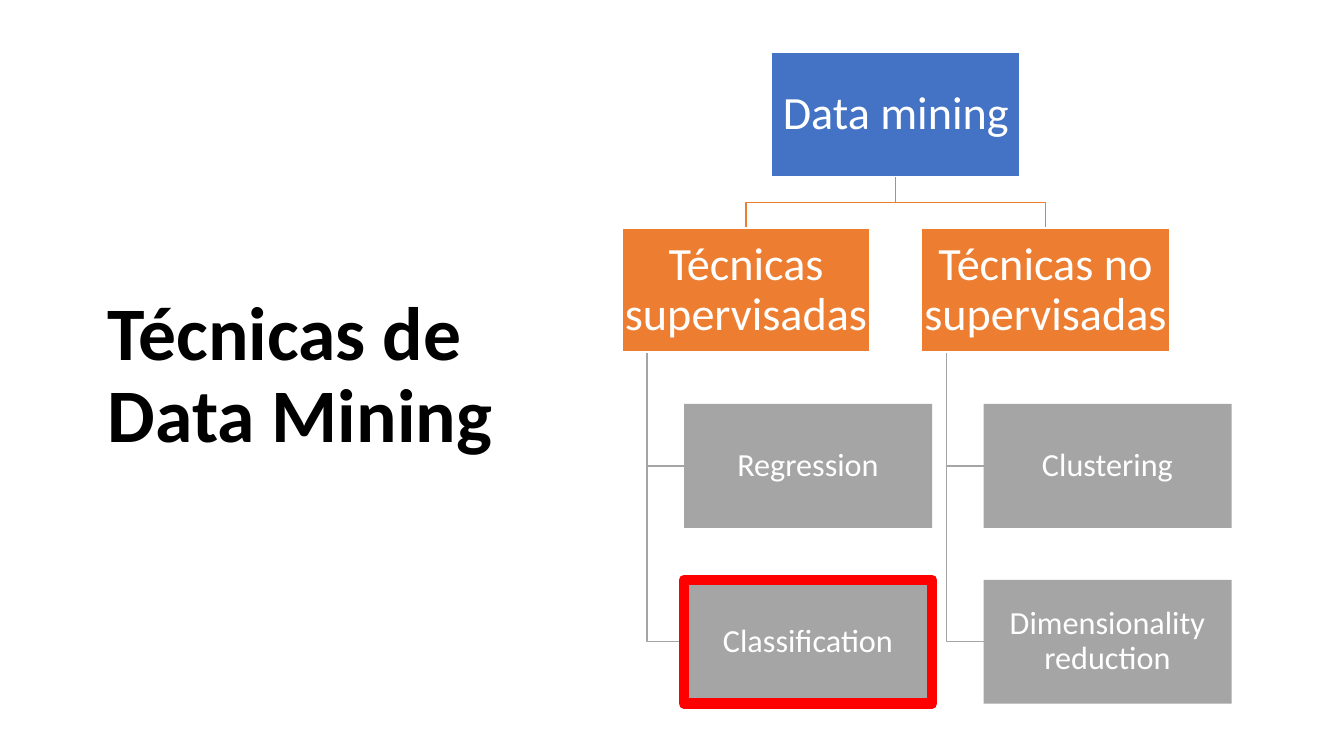
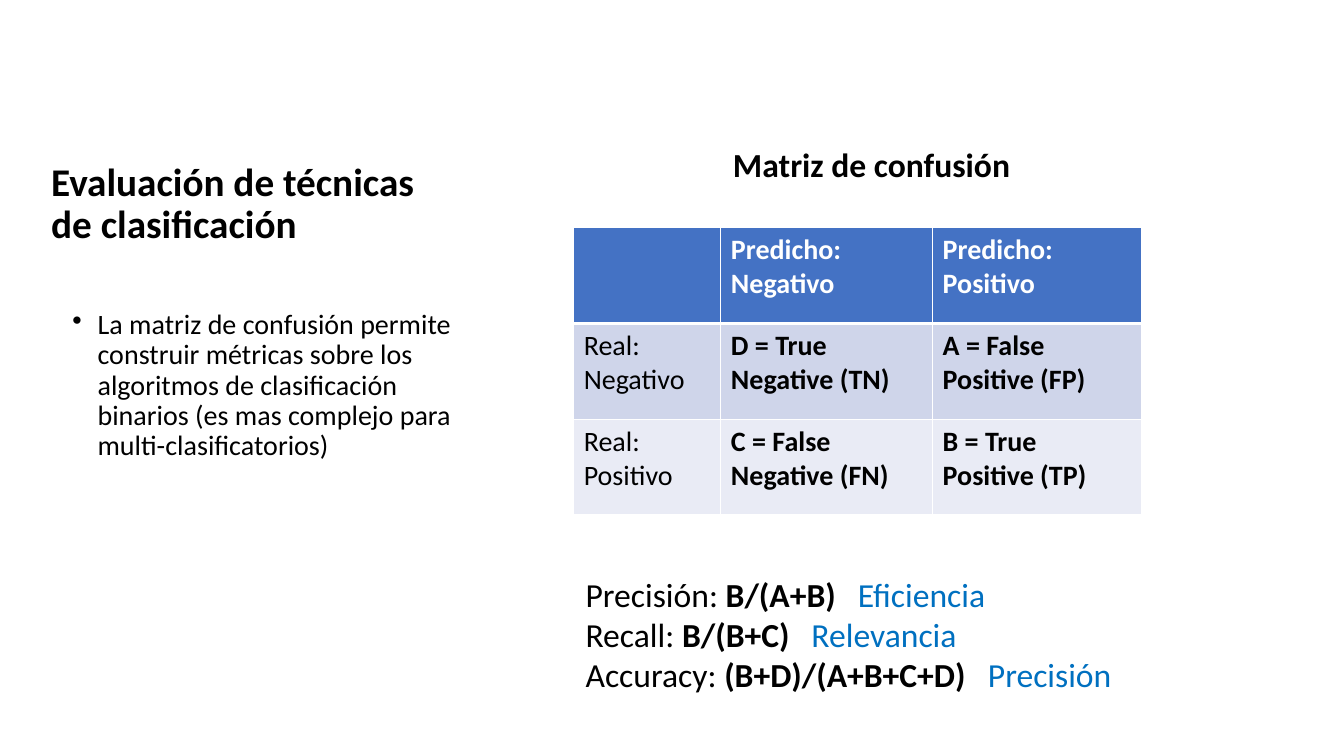
"""Two slides: a tree of data mining techniques and the confusion matrix."""
from lxml.etree import SubElement
from pptx import Presentation
from pptx.dml.color import RGBColor
from pptx.enum.shapes import MSO_SHAPE
from pptx.enum.text import MSO_ANCHOR as ANCHOR, PP_ALIGN as ALIGN
from pptx.oxml.ns import qn
from pptx.util import Inches, Pt

FONT = "Calibri"
BLACK, WHITE, RED, LINK = "000000", "FFFFFF", "FF0000", "0070C0"
BLUE, ORANGE, GRAY = "4472C4", "ED7D31", "A5A5A5"

ROOT = "Data mining"
BRANCHES = [
    ("Técnicas supervisadas", ["Regression", "Classification"]),
    ("Técnicas no supervisadas", ["Clustering", "Dimensionality reduction"]),
]
HIGHLIGHT = "Classification"
TREE_X, TREE_Y, BOX_W, BOX_H = 6.17, 0.52, 2.46, 1.23
COL_STEP, ROW_STEP = 2.97, 1.744
STEM, INDENT = BOX_W / 10, BOX_W / 4

MATRIX = [
    ["", "Predicho:\nNegativo", "Predicho: Positivo"],
    ["Real: Negativo", "D = True Negative (TN)", "A = False Positive (FP)"],
    ["Real: Positivo", "C = False Negative (FN)", "B = True Positive (TP)"],
]
MATRIX_COLS, MATRIX_ROW = [1.46, 2.1, 2.07], 0.95
ROW_FILLS = [BLUE, "CFD5EA", "E9EBF5"]
METRICS = [
    ("Precisión: ", "B/(A+B)", "Eficiencia", 2.7),
    ("Recall: ", "B/(B+C)", "Relevancia", 2.24),
    ("Accuracy: ", "(B+D)/(A+B+C+D)", "Precisión", 3.99),
]
NOTE = ("La matriz de confusión permite construir métricas sobre los algoritmos de "
        "clasificación binarios (es mas complejo para multi-clasificatorios)")


def rgb(color):
    return RGBColor.from_string(color)


def style(p, size, color=BLACK, bold=False, align=None, spacing=None):
    font = p.font
    font.name, font.size, font.bold = FONT, Pt(size), bold
    font.color.rgb = rgb(color)
    p.alignment, p.line_spacing = align, spacing


def text_box(s, at, text, size, anchor=ANCHOR.TOP, **look):
    tf = s.shapes.add_textbox(*map(Inches, at)).text_frame
    tf.word_wrap, tf.vertical_anchor = True, anchor
    tf.text = text
    for p in tf.paragraphs:
        style(p, size, **look)
    return tf


def title(s, at, text, size):
    return text_box(s, at, text, size, ANCHOR.BOTTOM, bold=True, spacing=0.9)


def link(s, points, color):
    points = [(Inches(x), Inches(y)) for x, y in points]
    builder = s.shapes.build_freeform(*points[0], scale=1.0)
    builder.add_line_segments(points[1:], close=False)
    sp = builder.convert_to_shape()
    sp.shadow.inherit = False
    sp.fill.background()
    sp.line.color.rgb, sp.line.width = rgb(color), Pt(1)


def box(s, x, y, text, fill, size, line=None, width=1):
    sp = s.shapes.add_shape(MSO_SHAPE.RECTANGLE, *map(Inches, (x, y, BOX_W, BOX_H)))
    sp.shadow.inherit = False
    sp.fill.solid()
    sp.fill.fore_color.rgb = rgb(fill)
    if line:
        sp.line.color.rgb, sp.line.width = rgb(line), Pt(width)
    else:
        sp.line.fill.background()
    tf = sp.text_frame
    tf.word_wrap, tf.vertical_anchor = True, ANCHOR.MIDDLE
    tf.margin_left = tf.margin_right = tf.margin_top = tf.margin_bottom = Inches(0.02)
    tf.text = text
    style(tf.paragraphs[0], size, WHITE, align=ALIGN.CENTER, spacing=0.9)


def tree(s):
    tops = [TREE_Y + i * ROW_STEP for i in range(4)]
    root_x = TREE_X + COL_STEP / 2
    root_mid, root_bottom = root_x + BOX_W / 2, tops[0] + BOX_H
    bar_y = (root_bottom + tops[1]) / 2
    boxes = [(root_x, tops[0], ROOT, BLUE, 33, WHITE)]
    for col, (branch, leaves) in enumerate(BRANCHES):
        x = TREE_X + col * COL_STEP
        mid, stem, leaf_x = x + BOX_W / 2, x + STEM, x + INDENT
        link(s, [(root_mid, root_bottom), (root_mid, bar_y), (mid, bar_y), (mid, tops[1])], ORANGE)
        boxes.append((x, tops[1], branch, ORANGE, 33, WHITE))
        for leaf, top in zip(leaves, tops[2:]):
            y = top + BOX_H / 2
            link(s, [(stem, tops[1] + BOX_H), (stem, y), (leaf_x, y)], GRAY)
            outline = (RED, 7.5) if leaf == HIGHLIGHT else ()
            boxes.append((leaf_x, top, leaf, GRAY, 23, *outline))
    for spec in boxes:
        box(s, *spec)


def border(cell, side, width):
    ln = SubElement(cell._tc.get_or_add_tcPr(), qn(f"a:ln{side}"), w=str(Pt(width)))
    SubElement(SubElement(ln, qn("a:solidFill")), qn("a:srgbClr"), val=WHITE)


def matrix(s, x, y):
    rows, cols = len(MATRIX), len(MATRIX_COLS)
    table = s.shapes.add_table(rows, cols, Inches(x), Inches(y), Inches(sum(MATRIX_COLS)),
                               Inches(rows * MATRIX_ROW)).table
    for column, width in zip(table.columns, MATRIX_COLS):
        column.width = Inches(width)
    for i, row in enumerate(MATRIX):
        table.rows[i].height = Inches(MATRIX_ROW)
        for j, text in enumerate(row):
            cell = table.cell(i, j)
            for side in "LRTB":
                border(cell, side, 3 if (i, side) in [(0, "B"), (1, "T")] else 1)
            cell.fill.solid()
            cell.fill.fore_color.rgb = rgb(ROW_FILLS[i])
            cell.text = text
            for p in cell.text_frame.paragraphs:
                style(p, 20, BLACK if i else WHITE, bold=i == 0 or j > 0)


def metrics(s, at):
    tf = text_box(s, at, "\n".join(name for name, *_ in METRICS), 24)
    for p, (_, formula, meaning, tab) in zip(tf.paragraphs, METRICS):
        stops = p._p.get_or_add_pPr().find(qn("a:defRPr"))
        tab_list = SubElement(p._p.pPr, qn("a:tabLst"))
        SubElement(tab_list, qn("a:tab"), pos=str(Inches(tab)), algn="l")
        stops.addprevious(tab_list)
        r = p.add_run()
        r.text, r.font.bold = formula, True
        r = p.add_run()
        r.text, r.font.color.rgb = "\t" + meaning, rgb(LINK)


def bullet(p):
    pr = p._p.get_or_add_pPr()
    pr.set("marL", str(Inches(0.25)))
    pr.set("indent", str(-Inches(0.25)))
    mark = SubElement(pr, qn("a:buChar"), char="•")
    pr.find(qn("a:defRPr")).addprevious(mark)


def main():
    prs = Presentation()
    prs.slide_width, prs.slide_height = Inches(13.33), Inches(7.5)
    blank = prs.slide_layouts[6]

    s = prs.slides.add_slide(blank)
    tf = title(s, (0.97, 0.7, 4.08, 3.9), "Técnicas de Data Mining", 54)
    tf.paragraphs[0].space_after = Pt(6)
    tree(s)

    s = prs.slides.add_slide(blank)
    title(s, (0.41, 1.27, 3.93, 1.23), "Evaluación de técnicas de clasificación", 28)
    matrix(s, 5.69, 2.26)
    text_box(s, (6.81, 1.38, 3.67, 0.5), "Matriz de confusión", 24, bold=True, align=ALIGN.CENTER)
    metrics(s, (5.71, 5.64, 5.88, 1.31))
    tf = text_box(s, (0.62, 3.03, 4.06, 4.12), NOTE, 20, spacing=0.9)
    bullet(tf.paragraphs[0])

    prs.save("out.pptx")


if __name__ == "__main__":
    main()
